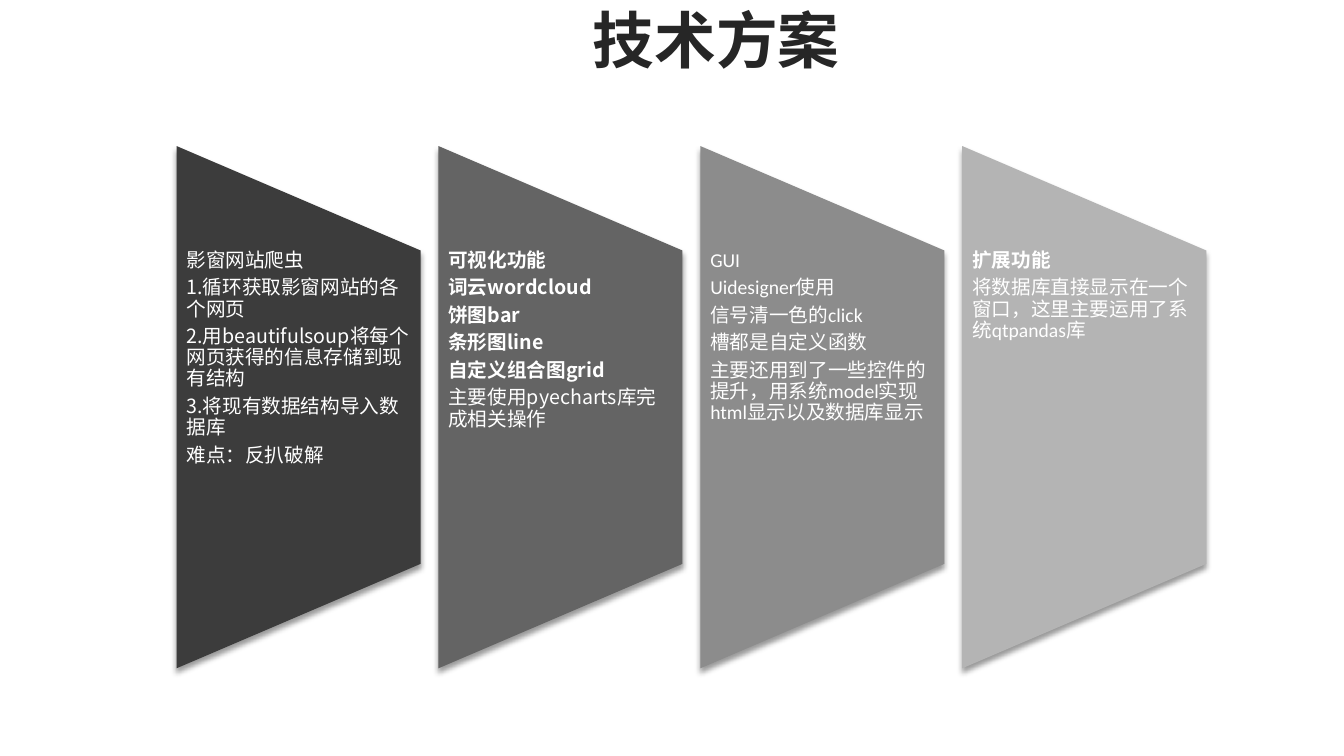
"""Build the technical plan slide: four tapered panels with notes."""
from lxml import etree
from pptx import Presentation
from pptx import util as u
from pptx.dml.color import RGBColor
from pptx.enum import shapes, text
from pptx.oxml import parse_xml
from pptx.oxml.ns import nsdecls, qn

CJK = "Noto Sans CJK SC"
LATIN = "Calibri"
SHADOW = (f'<a:effectLst {nsdecls("a")}><a:outerShdw blurRad="50800" dist="38100" '
          'dir="5400000" rotWithShape="0"><a:srgbClr val="000000">'
          '<a:alpha val="40000"/></a:srgbClr></a:outerShdw></a:effectLst>')


def rgb(value):
    return RGBColor.from_string(value)


def add_run(p, content, size, color, font, bold):
    p.line_spacing = 0.9
    r = p.add_run()
    r.text = content
    r.font.size = u.Pt(size)
    r.font.bold = bold
    r.font.name = font
    r.font.color.rgb = rgb(color)
    etree.SubElement(r.font._element, qn("a:ea")).set("typeface", CJK)


prs = Presentation()
prs.slide_width, prs.slide_height = u.Cm(33.87), u.Cm(19.05)
s = prs.slides.add_slide(prs.slide_layouts[6])

tf = s.shapes.add_textbox(u.Cm(5.72), 0, u.Cm(24.66), u.Cm(2.21)).text_frame
tf.word_wrap = True
tf.vertical_anchor = text.MSO_ANCHOR.MIDDLE
tf.paragraphs[0].alignment = text.PP_ALIGN.CENTER
add_run(tf.paragraphs[0], "技术方案", 44, "262626", CJK, True)

panels = [
    ("3C3C3C", CJK, CJK, 0, [
        "影窗网站爬虫", "1.循环获取影窗网站的各个网页",
        "2.用beautifulsoup将每个网页获得的信息存储到现有结构",
        "3.将现有数据结构导入数据库", "难点：反扒破解"]),
    ("646464", CJK, CJK, 5, [
        "可视化功能", "词云wordcloud", "饼图bar", "条形图line",
        "自定义组合图grid", "主要使用pyecharts库完成相关操作"]),
    ("8C8C8C", LATIN, LATIN, 0, [
        "GUI", "Uidesigner使用", "信号清一色的click", "槽都是自定义函数",
        "主要还用到了一些控件的提升，用系统model实现html显示以及数据库显示"]),
    ("B4B4B4", CJK, LATIN, 1, [
        "扩展功能", "将数据库直接显示在一个窗口，这里主要运用了系统qtpandas库"]),
]
left, pitch, width, height, middle = 4.45, 6.6, 6.15, 13.16, 10.26
text_height = 7.9

for i, (fill, head_font, body_font, bold_count, lines) in enumerate(panels):
    x = left + i * pitch
    sp = s.shapes.add_shape(
        shapes.MSO_SHAPE.FLOWCHART_MANUAL_OPERATION,
        u.Cm(x + (width - height) / 2), u.Cm(middle - width / 2),
        u.Cm(height), u.Cm(width))
    sp.rotation = 270
    sp.fill.solid()
    sp.fill.fore_color.rgb = rgb(fill)
    sp.line.fill.background()
    sp._element.spPr.append(parse_xml(SHADOW))

    tf = s.shapes.add_textbox(u.Cm(x), u.Cm(middle - text_height / 2),
                              u.Cm(width), u.Cm(text_height)).text_frame
    tf.word_wrap = True
    tf.margin_top = tf.margin_bottom = 0
    for j, line in enumerate(lines):
        p = tf.add_paragraph() if j else tf.paragraphs[0]
        p.space_after = u.Pt(4.5)
        add_run(p, line, 14, "FFFFFF", body_font if j else head_font, j < bold_count)

prs.save("out.pptx")
